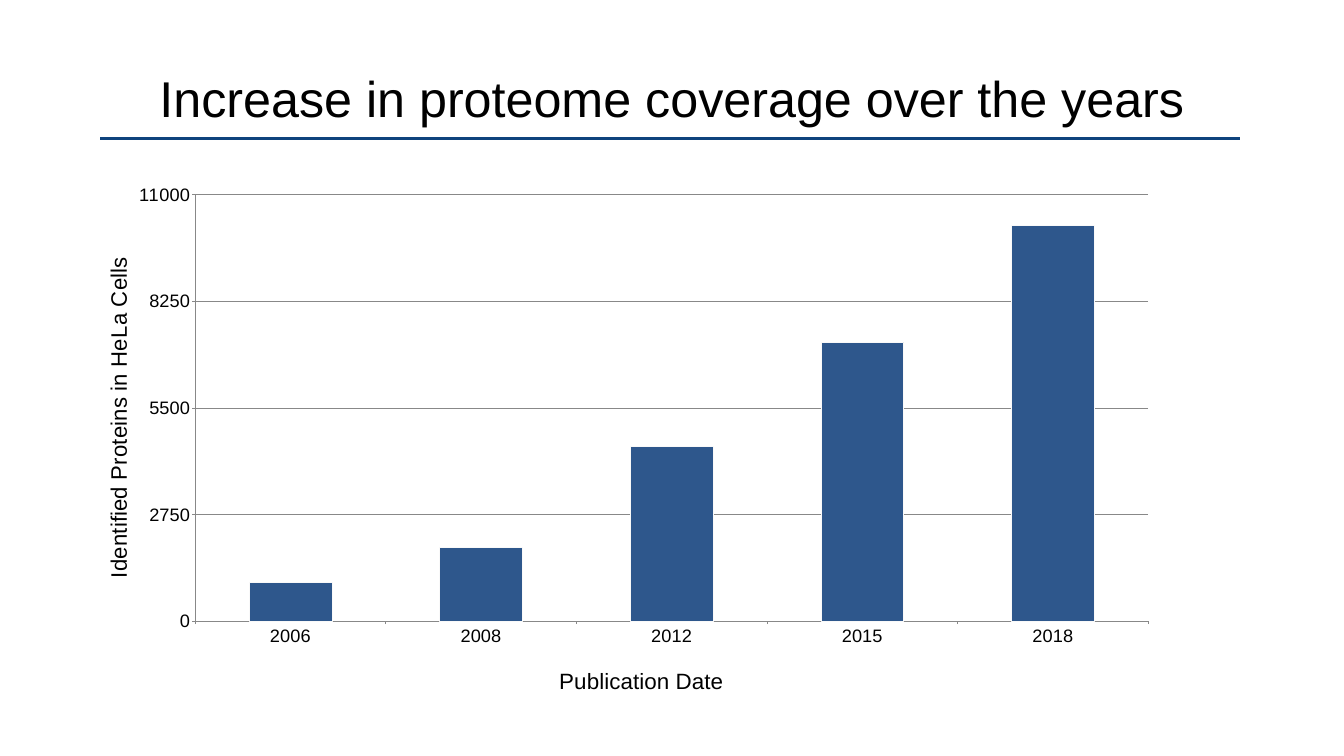
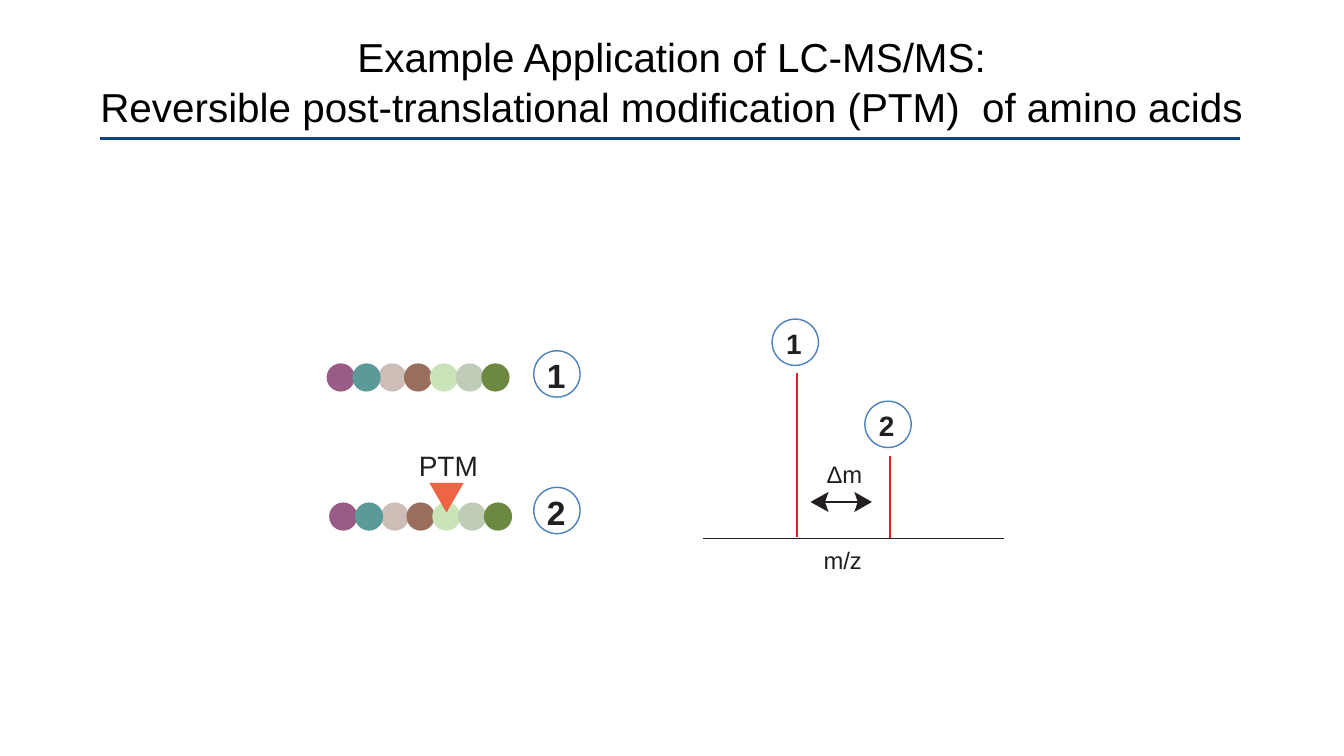
"""Two slides on proteome coverage and on finding modifications by LC-MS/MS."""
from lxml import etree
from pptx import Presentation
from pptx import util as u
from pptx.chart import data
from pptx.dml.color import RGBColor
from pptx.enum import chart as charts, shapes, text
from pptx.oxml.ns import qn

COLOURS = {
    "black": "000000", "ink": "231F20", "rule": "0E437D", "bar": "2E578C",
    "bar edge": "F9F9F9", "grid": "888888", "badge": "4F81BD", "peak": "ED1C24",
    "tag": "ED6544", "plum": "995C87", "teal": "5C9999", "beige": "CCBDB7",
    "brown": "996E5C", "mint": "C9E4B8", "sage": "BFCCB7", "olive": "6D8941",
}
RESIDUES = [(0, "plum"), (2, "beige"), (1, "teal"), (3, "brown"),
            (4, "mint"), (5, "sage"), (6, "olive")]
RESIDUE_SIZE, RESIDUE_PITCH, BADGE_SIZE = 40.3, 36.85, 66.2


def colour(name):
    return RGBColor.from_string(COLOURS[name])


class Painter:
    """Holds the deck's style and draws on the current slide."""

    font = "Arial"

    def __init__(self, width, height):
        self.deck = Presentation()
        self.deck.slide_width, self.deck.slide_height = u.Pt(width), u.Pt(height)
        self.layout = self.deck.slide_layouts[5]
        self.page = None

    def add_page(self, lines, size, top, height):
        self.page = self.deck.slides.add_slide(self.layout)
        title = self.page.shapes.title
        title.left, title.top, title.width, title.height = map(
            u.Pt, (133.2, top, 1653.1, height))
        frame = self.frame(title, top_inset=13)
        for index, line in enumerate(lines):
            para = frame.add_paragraph() if index else frame.paragraphs[0]
            para.alignment = text.PP_ALIGN.CENTER
            para.space_before = u.Pt(2 if index else 0)
            self.add_span(para, line, size, "black")

    def frame(self, box, top_inset=0):
        frame = box.text_frame
        frame.word_wrap = True
        frame.auto_size = text.MSO_AUTO_SIZE.NONE
        frame.vertical_anchor = text.MSO_ANCHOR.TOP
        frame.margin_left = frame.margin_right = frame.margin_bottom = 0
        frame.margin_top = u.Pt(top_inset)
        return frame

    def style(self, font, size, name, bold=False):
        font.name, font.size, font.bold = self.font, u.Pt(size), bold
        font.color.rgb = colour(name)

    def add_span(self, para, words, size, name, bold=False):
        span = para.add_run()
        span.text = words
        self.style(span.font, size, name, bold)

    def label(self, words, left, top, width, height, size, bold=False):
        box = self.page.shapes.add_textbox(*map(u.Pt, (left, top, width, height)))
        self.add_span(self.frame(box).paragraphs[0], words, size, "ink", bold)

    def line(self, left, top, right, bottom, name, weight):
        line = self.page.shapes.add_connector(
            shapes.MSO_CONNECTOR.STRAIGHT, *map(u.Pt, (left, top, right, bottom)))
        line.line.color.rgb = colour(name)
        line.line.width = u.Pt(weight)
        etree.SubElement(line.element.spPr, qn("a:effectLst"))
        return line

    def title_rule(self):
        rule = self.line(143.3, 197.3, 1771.2, 197.3, "rule", 4)
        self.layout.shapes.element.append(rule.element)

    def fill(self, shape, name):
        shape.shadow.inherit = False
        shape.fill.solid()
        shape.fill.fore_color.rgb = colour(name)
        shape.line.fill.background()

    def shape(self, kind, left, top, width, height, name):
        shape = self.page.shapes.add_shape(kind, *map(u.Pt, (left, top, width, height)))
        self.fill(shape, name)
        return shape

    def polygon(self, points, name):
        corners = [(u.Pt(x), u.Pt(y)) for x, y in points]
        builder = self.page.shapes.build_freeform(*corners[0])
        builder.add_line_segments(corners[1:], close=True)
        self.fill(builder.convert_to_shape(), name)

    def peptide(self, left, top):
        for position, name in RESIDUES:
            self.shape(shapes.MSO_SHAPE.OVAL, left + position * RESIDUE_PITCH, top,
                       RESIDUE_SIZE, RESIDUE_SIZE, name)

    def badge(self, words, left, top, size, inset_x, inset_y):
        self.label(words, left + inset_x, top + inset_y, size * 0.62, size * 1.1,
                   size, bold=True)
        ring = self.shape(shapes.MSO_SHAPE.OVAL, left, top, BADGE_SIZE, BADGE_SIZE, "badge")
        ring.fill.background()
        ring.line.color.rgb = colour("badge")
        ring.line.width = u.Pt(2)

    def arrow_head(self, tip, notch, back, middle):
        self.polygon([(tip, middle), (back, middle - 14.4), (notch, middle),
                      (back, middle + 14.4)], "ink")

    def place(self, owner, index, **settings):
        for old in owner.findall(qn("c:layout")):
            owner.remove(old)
        layout = etree.Element(qn("c:layout"))
        manual = etree.SubElement(layout, qn("c:manualLayout"))
        for tag, value in settings.items():
            etree.SubElement(manual, qn("c:" + tag)).set("val", str(value))
        owner.insert(index, layout)

    def axis(self, axis, words, x, y):
        axis.major_tick_mark = charts.XL_TICK_MARK.OUTSIDE
        axis.minor_tick_mark = charts.XL_TICK_MARK.NONE
        self.style(axis.tick_labels.font, 26, "black")
        axis.format.line.color.rgb = colour("grid")
        axis.format.line.width = u.Pt(1)
        title = axis.axis_title
        self.add_span(title.text_frame.paragraphs[0], words, 32, "black")
        self.place(title.element, 1, xMode="edge", yMode="edge", x=x, y=y)

    def column_chart(self, values, category_title, value_title):
        table = data.CategoryChartData()
        table.categories = list(values)
        table.add_series("Series 1", list(values.values()))
        chart = self.page.shapes.add_chart(
            charts.XL_CHART_TYPE.COLUMN_CLUSTERED,
            *map(u.Pt, (127.4, 248.4, 1513.4, 753.1)), table).chart
        chart.has_legend = chart.has_title = False
        self.style(chart.font, 10, "black")
        plot = chart.plots[0]
        plot.gap_width = 130
        plot.vary_by_categories = False
        bars = plot.series[0].format
        bars.fill.solid()
        bars.fill.fore_color.rgb = colour("bar")
        bars.line.color.rgb = colour("bar edge")
        bars.line.width = u.Pt(0.75)
        self.axis(chart.category_axis, category_title, 0.44, 0.94)
        chart.category_axis.tick_label_position = charts.XL_TICK_LABEL_POSITION.LOW
        axis = chart.value_axis
        self.axis(axis, value_title, 0.01, 0.16)
        axis.minimum_scale, axis.maximum_scale, axis.major_unit = 0, 11000, 2750
        axis.tick_labels.number_format = "0"
        axis.tick_labels.number_format_is_linked = False
        axis.major_gridlines.format.line.color.rgb = colour("grid")
        axis.major_gridlines.format.line.width = u.Pt(1)
        self.place(chart.element.xpath(".//c:plotArea")[0], 0, layoutTarget="inner",
                   xMode="edge", yMode="edge", x=0.1, y=0.04, w=0.9, h=0.82)


def coverage_page(painter):
    painter.add_page(["Increase in proteome coverage over the years"], 71.8, 83.5, 90.7)
    painter.title_rule()
    painter.column_chart(
        {"2006": 1000, "2008": 1900, "2012": 4500, "2015": 7200, "2018": 10200},
        "Publication Date", "Identified Proteins in HeLa Cells")


def modification_page(painter):
    painter.add_page(
        ["Example Application of LC-MS/MS:",
         "Reversible post-translational modification (PTM)  of amino acids"],
        57.7, 32.4, 141.8)

    painter.peptide(466.6, 519.1)
    painter.peptide(470.2, 717.8)
    painter.shape(shapes.MSO_SHAPE.FLOWCHART_MERGE, 613.4, 689.8, 49, 42.5, "tag")
    painter.label("PTM", 598.3, 640.1, 101.5, 43.9, 40)
    for words, top in (("1", 501.1), ("2", 696.2)):
        painter.badge(words, 762.5, top, 48, 18.7, 6.5)

    painter.line(1004.4, 769, 1435, 769, "ink", 2)
    for x, top, bottom in ((1138.3, 533.5, 766.8), (1270.8, 650.9, 769)):
        painter.line(x, top, x, bottom, "peak", 3)
    painter.line(1175.8, 717.1, 1227.6, 717.1, "ink", 2)
    painter.arrow_head(1157.8, 1178.6, 1183.7, 717.1)
    painter.arrow_head(1245.6, 1225.4, 1220.4, 717.1)
    painter.label("m/z", 1176.5, 779, 59.8, 38.2, 34)
    painter.label("Δm", 1180.8, 657.4, 54, 38.2, 34)
    for words, left, top in (("1", 1103, 455.8), ("2", 1235.5, 573.1)):
        painter.badge(words, left, top, 40, 20.2, 10)


def main():
    painter = Painter(1920, 1080)
    coverage_page(painter)
    modification_page(painter)
    painter.deck.save("out.pptx")


if __name__ == "__main__":
    main()
